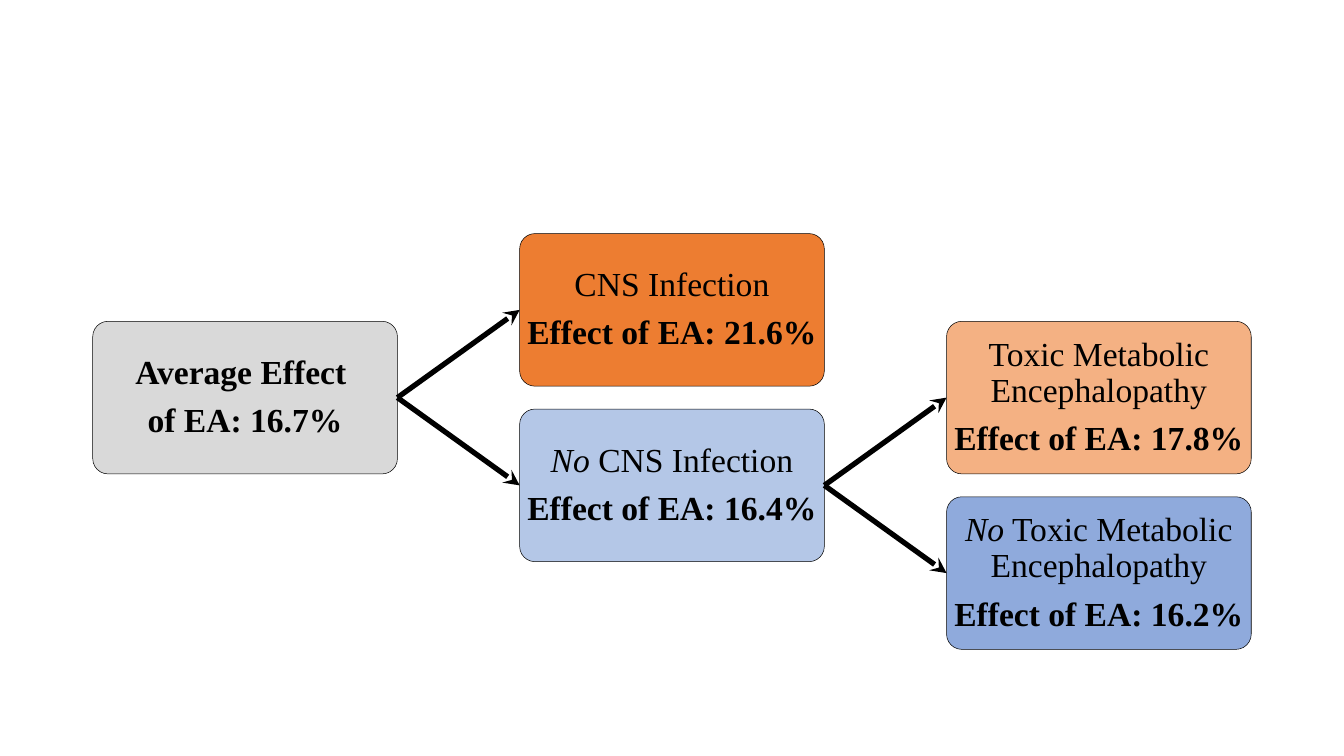
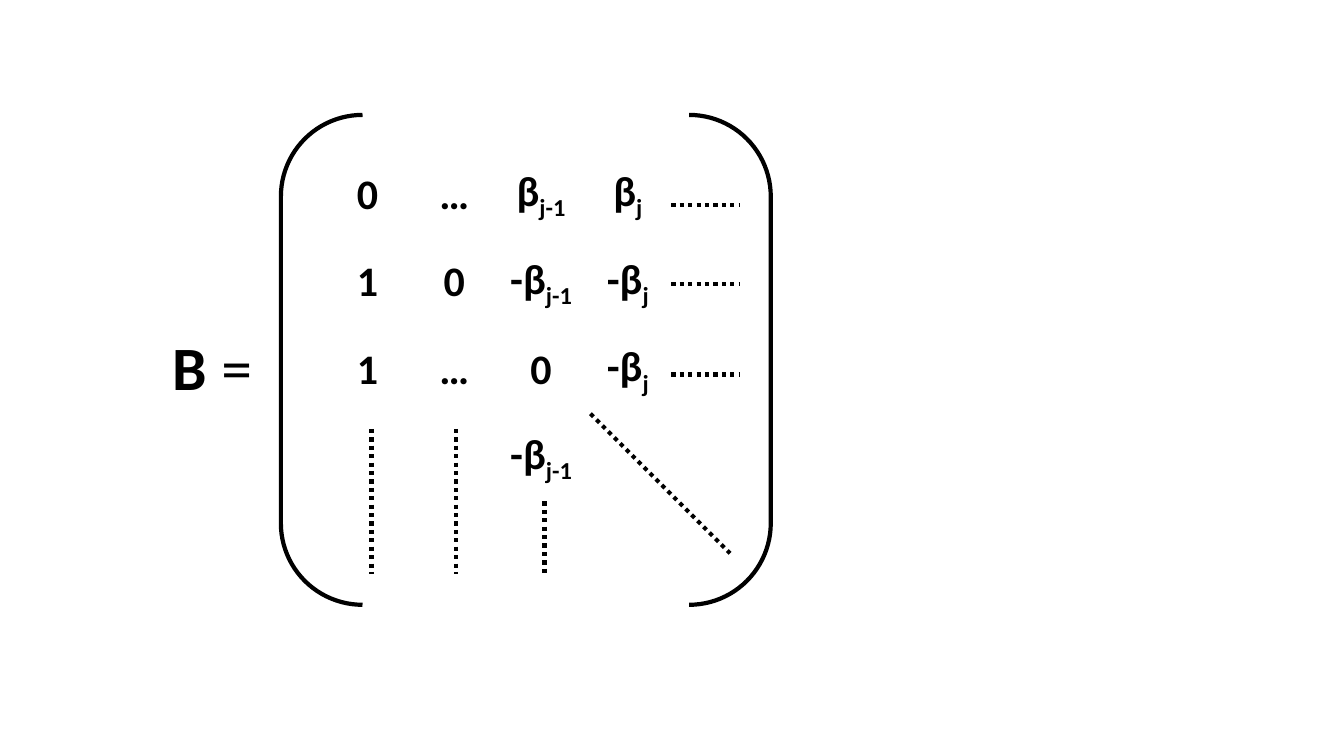
import pptx
import pptx.util
import pptx.dml.color
import pptx.enum.dml
import pptx.enum.shapes
import pptx.enum.text
import pptx.oxml.ns
import lxml.etree

WIDE, HIGH = 26.67, 15
INK = "000000"
SERIF, SANS = "Times New Roman", "Calibri"
SHAPE = pptx.enum.shapes.MSO_SHAPE
MID = pptx.enum.text.MSO_ANCHOR.MIDDLE
CENTER = pptx.enum.text.PP_ALIGN.CENTER
DOTS = pptx.enum.dml.MSO_LINE.ROUND_DOT
INCH, PT = pptx.util.Inches, pptx.util.Pt

EFFECT = "Effect of EA: "
CARDS = {
    "all": (0, 1, "D9D9D9", [[("Average Effect ", "b")], [("of EA: 16.7%", "b")]]),
    "cns": (1, 0, "ED7D31", [[("CNS Infection", "")], [(EFFECT + "21.6%", "b")]]),
    "no cns": (1, 2, "B4C7E7", [[("No", "i"), (" CNS Infection", "")],
                                [(EFFECT + "16.4%", "b")]]),
    "toxic": (2, 1, "F4B183", [[("Toxic Metabolic Encephalopathy", "")],
                               [(EFFECT + "17.8%", "b")]]),
    "no toxic": (2, 3, "8FAADC", [[("No", "i"), (" Toxic Metabolic Encephalopathy", "")],
                                  [(EFFECT + "16.2%", "b")]]),
}
LINKS = [("all", "cns"), ("all", "no cns"), ("no cns", "toxic"), ("no cns", "no toxic")]
TERMS = [
    ["0", "…", "β_j-1", "β_j"],
    ["1", "0", "-β_j-1", "-β_j"],
    ["1", "…", "0", "-β_j"],
    ["", "", "-β_j-1", ""],
]
TRAILS = [
    (0.797, 0.184, 0.935, 0.184),
    (0.797, 0.345, 0.935, 0.345),
    (0.797, 0.53, 0.935, 0.53),
    (0.185, 0.641, 0.185, 0.938),
    (0.357, 0.641, 0.357, 0.938),
    (0.538, 0.789, 0.538, 0.938),
    (0.632, 0.61, 0.917, 0.895),
]


def rgb(code):
    """Turn a hex string into a colour."""
    return pptx.dml.color.RGBColor.from_string(code)


def place(box, left, top, wide, high):
    """Turn shares of a box into a smaller box in inches."""
    x, y, w, h = box
    return x + left * w, y + top * h, wide * w, high * h


def write(para, runs, size, face):
    """Fill a paragraph with runs marked b, i or s for subscript."""
    for text, marks in runs:
        run = para.add_run()
        run.text = text
        font = run.font
        font.size, font.name = PT(size), face
        font.bold, font.italic = "b" in marks, "i" in marks
        font.color.rgb = rgb(INK)
        if "s" in marks:
            font._element.set("baseline", "-25000")


def pen(line, width, dash=None):
    """Style an outline in ink."""
    line.color.rgb = rgb(INK)
    line.width = PT(width)
    if dash:
        line.dash_style = dash


def draw(slide, ends, width, dash=None):
    """Add a straight line without shadow."""
    kind = pptx.enum.shapes.MSO_CONNECTOR.STRAIGHT
    link = slide.shapes.add_connector(kind, *map(INCH, ends))
    pen(link.line, width, dash)
    lxml.etree.SubElement(link._element.spPr, pptx.oxml.ns.qn("a:effectLst"))
    return link


def join(slide, start, end):
    """Connect the right side of one card to the left of another."""
    link = draw(slide, (0, 0, 1, 1), 7.5)
    link.begin_connect(start, 3)
    link.end_connect(end, 1)
    tail = lxml.etree.SubElement(link.line._get_or_add_ln(), pptx.oxml.ns.qn("a:tailEnd"))
    tail.set("type", "stealth")


def card(slide, box, fill, lines):
    """Add a rounded card with centred lines of text."""
    shape = slide.shapes.add_shape(SHAPE.ROUNDED_RECTANGLE, *map(INCH, box))
    shape.adjustments[0] = 0.1
    shape.shadow.inherit = False
    shape.fill.solid()
    shape.fill.fore_color.rgb = rgb(fill)
    pen(shape.line, 0.75)
    frame = shape.text_frame
    frame.word_wrap, frame.vertical_anchor = True, MID
    frame.margin_left = frame.margin_right = INCH(0.03)
    frame.margin_top = frame.margin_bottom = INCH(0.03)
    for num, runs in enumerate(lines):
        para = frame.add_paragraph() if num else frame.paragraphs[0]
        para.alignment, para.line_spacing, para.space_after = CENTER, 0.9, PT(17)
        write(para, runs, 48, SERIF)
    return shape


def tree(slide, box):
    """Lay out the cards on columns and half steps, then link them."""
    x, y, w, h = box
    wide, high = 0.263 * w, 0.367 * h
    across, down = (w - wide) / 2, (h - high) / 3
    cards = {}
    for key, (col, row, fill, lines) in CARDS.items():
        spot = x + col * across, y + row * down, wide, high
        cards[key] = card(slide, spot, fill, lines)
    for start, end in LINKS:
        join(slide, cards[start], cards[end])


def grid(slide, box):
    """Add the table of matrix terms."""
    count = len(TERMS)
    frame = slide.shapes.add_table(count, count, *map(INCH, box))
    table = frame.table
    table.first_row = table.horz_banding = False
    for row, terms in enumerate(TERMS):
        for col, term in enumerate(terms):
            cell = table.cell(row, col)
            cell.fill.background()
            cell.vertical_anchor = MID
            cell.margin_left = cell.margin_right = INCH(0.12)
            cell.margin_top = cell.margin_bottom = INCH(0.06)
            if term:
                base, _, sub = term.partition("_")
                runs = [(base, "b")] + ([(sub, "bs")] if sub else [])
                para = cell.text_frame.paragraphs[0]
                para.alignment = CENTER
                write(para, runs, 60, SANS)


def matrix(slide, box):
    """Add brackets, terms and dotted trails in a box."""
    pair = slide.shapes.add_shape(SHAPE.DOUBLE_BRACKET, *map(INCH, box))
    pair.shadow.inherit = False
    pair.fill.background()
    pen(pair.line, 6)
    grid(slide, place(box, 0.088, 0.074, 0.709, 0.715))
    x, y, w, h = box
    for left, top, right, foot in TRAILS:
        ends = x + left * w, y + top * h, x + right * w, y + foot * h
        draw(slide, ends, 6, DOTS)


def label(slide, box):
    """Add the name of the matrix."""
    frame = slide.shapes.add_textbox(*map(INCH, box)).text_frame
    frame.word_wrap = False
    write(frame.paragraphs[0], [("B", "b"), (" =", "")], 88, SANS)


def main():
    """Build both slides and save them."""
    deck = pptx.Presentation()
    deck.slide_width, deck.slide_height = INCH(WIDE), INCH(HIGH)
    blank = deck.slide_layouts[6]
    page = (0, 0, WIDE, HIGH)
    tree(deck.slides.add_slide(blank), place(page, 0.069, 0.309, 0.862, 0.55))
    slide = deck.slides.add_slide(blank)
    matrix(slide, place(page, 0.209, 0.152, 0.3645, 0.648))
    label(slide, place(page, 0.125, 0.432, 0.067, 0.105))
    deck.save("out.pptx")


if __name__ == "__main__":
    main()
